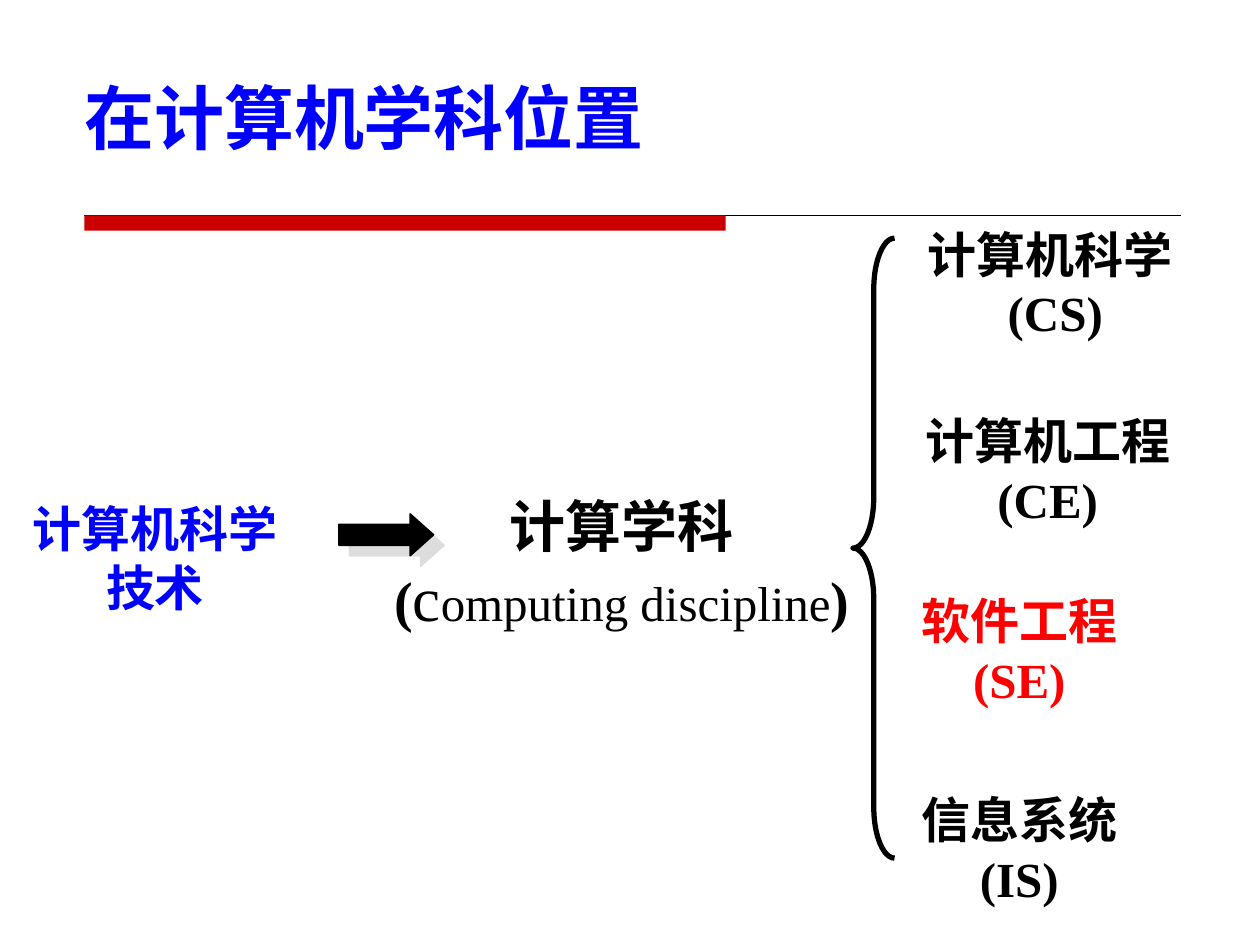
from lxml import etree
from pptx import Presentation
from pptx.dml.color import RGBColor
from pptx.enum import shapes, text
from pptx.oxml import ns
from pptx.util import Inches, Pt


class Theme:
    blue, red, black = (RGBColor.from_string(c) for c in ("0000FF", "FF0000", "000000"))
    bar = RGBColor.from_string("CC0000")
    shadow = "DDDDDD"
    cjk, latin = "Noto Sans CJK SC", "Times New Roman"
    title, centre, initial, body = Pt(40), Pt(32), Pt(36), Pt(28)


def add_text(box, lines, font=Theme.latin, color=Theme.black, wrap=False, **formats):
    """Add a text box; each line is a list of (words, size, bold) runs."""
    tf = s.shapes.add_textbox(*map(Inches, box)).text_frame
    settings = {"word_wrap": wrap, "auto_size": text.MSO_AUTO_SIZE.NONE, **formats}
    for name, value in settings.items():
        setattr(tf, name, value)
    for i, runs in enumerate(lines):
        p = tf.paragraphs[0] if i == 0 else tf.add_paragraph()
        p.alignment = text.PP_ALIGN.CENTER
        for words, size, bold in runs:
            r = p.add_run()
            r.text = words
            for name, value in {"name": font, "size": size, "bold": bold}.items():
                setattr(r.font, name, value)
            r.font.color.rgb = color
            ea = etree.SubElement(r.font._element, ns.qn("a:ea"))
            ea.set("typeface", Theme.cjk)
    return tf


def add_effects(shape):
    """Give the shape an empty effect list, so that it has no theme shadow."""
    return etree.SubElement(shape._element.spPr, ns.qn("a:effectLst"))


prs = Presentation()
prs.slide_width, prs.slide_height = Inches(10), Inches(7.5)
s = prs.slides.add_slide(prs.slide_layouts[6])

# Title and the rule below it
rule = s.shapes.add_connector(
    shapes.MSO_CONNECTOR.STRAIGHT, Inches(0.67), Inches(1.71), Inches(9.37), Inches(1.71))
rule.line.color.rgb = Theme.black
rule.line.width = Pt(0.75)
add_effects(rule)

bar = s.shapes.add_shape(
    shapes.MSO_SHAPE.RECTANGLE, Inches(0.67), Inches(1.71), Inches(5.09), Inches(0.12))
bar.shadow.inherit = False
bar.fill.solid()
bar.fill.fore_color.rgb = Theme.bar
bar.line.fill.background()

title = add_text((0.57, 0.06, 8.52, 1.25), [[("在计算机学科位置", Theme.title, True)]],
                 Theme.cjk, Theme.blue, wrap=True, vertical_anchor=text.MSO_ANCHOR.BOTTOM)
title.paragraphs[0].alignment = text.PP_ALIGN.LEFT

# From the school subject to the discipline
add_text((0, 3.91, 2.46, 1.03), [[("计算机科学技术", Theme.body, True)]],
         Theme.cjk, Theme.blue, wrap=True)
add_text((3.03, 3.85, 3.81, 1.23), [
    [("计算学科", Theme.centre, True)],
    [("(", Theme.centre, True), ("c", Theme.initial, False),
     ("omputing discipline", Theme.body, False), (")", Theme.centre, True)],
])

arrow = s.shapes.add_shape(
    shapes.MSO_SHAPE.RIGHT_ARROW, Inches(2.69), Inches(4.08), Inches(0.75), Inches(0.33))
arrow.adjustments[0], arrow.adjustments[1] = 0.5, 0.56
arrow.fill.solid()
arrow.fill.fore_color.rgb = Theme.black
arrow.line.color.rgb = Theme.black
arrow.line.width = Pt(1)
shadow = etree.SubElement(add_effects(arrow), ns.qn("a:outerShdw"),
                          dist=str(Pt(8.5)), dir=str(45 * 60000), algn="ctr", rotWithShape="0")
etree.SubElement(shadow, ns.qn("a:srgbClr"), val=Theme.shadow)

# The four branches of the discipline
brace = s.shapes.add_shape(
    shapes.MSO_SHAPE.LEFT_BRACE, Inches(6.77), Inches(1.89), Inches(0.33), Inches(4.92))
brace.adjustments[0], brace.adjustments[1] = 1.23, 0.5
brace.shadow.inherit = False
brace.fill.background()
brace.line.color.rgb = Theme.black
brace.line.width = Pt(3)

branches = [
    ("计算机科学 ", "(CS)", 7.25, 1.73, 2.25, Theme.black),
    ("计算机工程", "(CE)", 7.24, 3.21, 2.15, Theme.black),
    ("软件工程", "(SE)", 7.21, 4.64, 1.76, Theme.red),
    ("信息系统", "(IS)", 7.21, 6.22, 1.76, Theme.black),
]
for name, short, left, top, width, color in branches:
    add_text((left, top, width, 1.03),
             [[(words, Theme.body, True)] for words in (name, short)], color=color)

prs.save("out.pptx")
